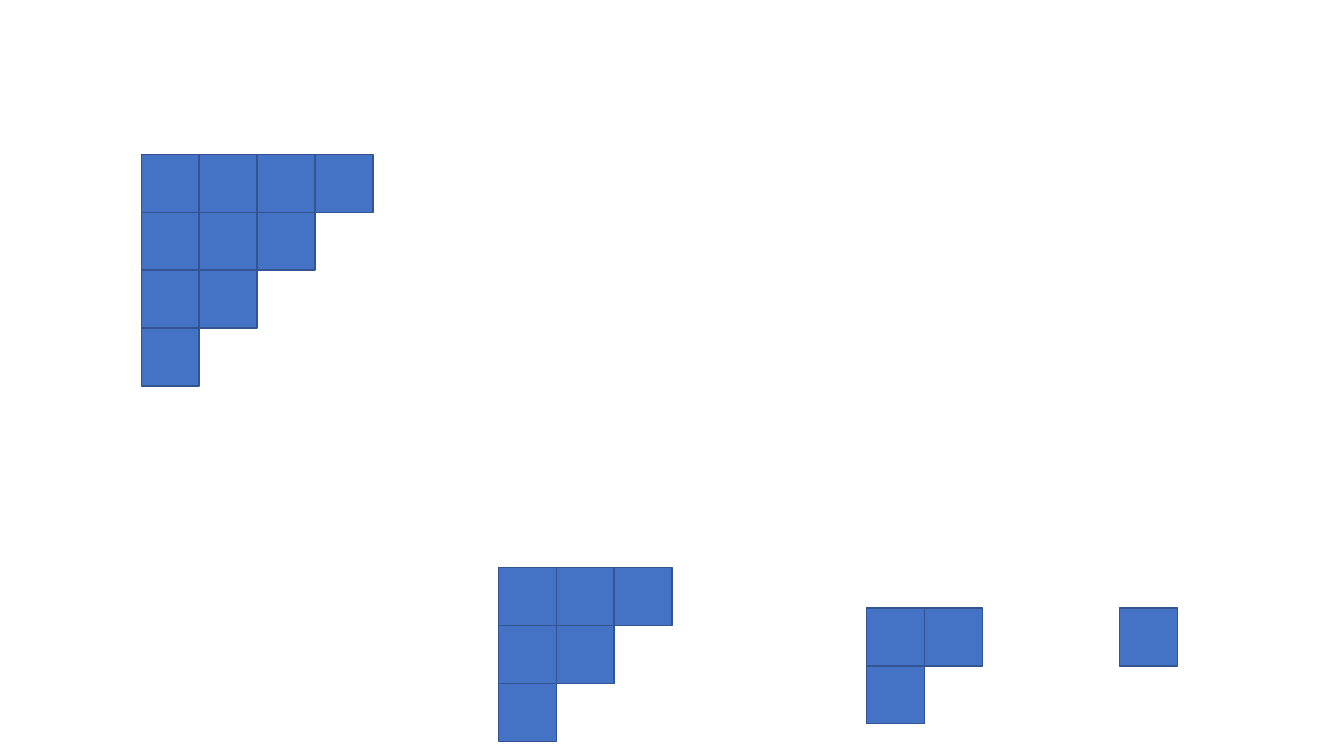
import pptx
import pptx.dml.color
import pptx.enum.shapes
import pptx.util

Cm = pptx.util.Cm
RGB = pptx.dml.color.RGBColor.from_string

COLORS = {"background": "FFFFFF", "square": "4472C4", "outline": "325491"}
SIDE = 1.46
STAIRCASES = [
    (2, 21.84, 15.32),
    (3, 12.56, 14.3),
    (4, 3.56, 3.89),
    (1, 28.22, 15.32),
]


def set_attrs(obj, values):
    for name, value in values.items():
        setattr(obj, name, value)


def paint(fill, color):
    fill.solid()
    fill.fore_color.rgb = RGB(COLORS[color])


def add_square(slide, left, top):
    sp = slide.shapes.add_shape(
        pptx.enum.shapes.MSO_SHAPE.RECTANGLE, Cm(left), Cm(top), Cm(SIDE), Cm(SIDE)
    )
    sp.shadow.inherit = False
    paint(sp.fill, "square")
    paint(sp.line.fill, "outline")
    set_attrs(sp.line, {"width": pptx.util.Pt(1)})


def add_staircase(slide, steps, left, top):
    for row in range(steps):
        for col in range(steps - row):
            add_square(slide, left + col * SIDE, top + row * SIDE)


def main():
    """Build the slide of four staircases of squares."""
    prs = pptx.Presentation()
    set_attrs(prs, {"slide_width": Cm(33.87), "slide_height": Cm(19.05)})
    slide = prs.slides.add_slide(prs.slide_layouts[6])
    paint(slide.background.fill, "background")
    for steps, left, top in STAIRCASES:
        add_staircase(slide, steps, left, top)
    prs.save("out.pptx")


main()
